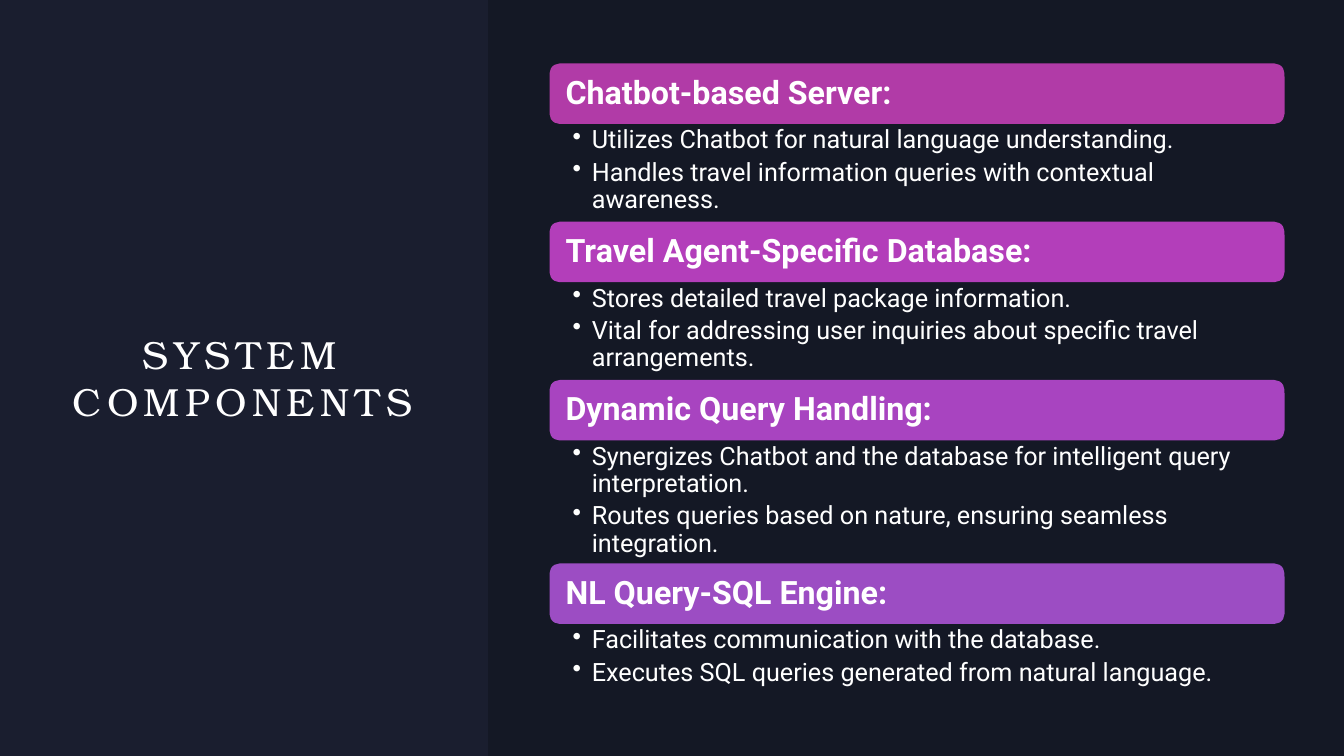
from dataclasses import dataclass

from lxml import etree
from pptx import Presentation
from pptx.dml.color import RGBColor
from pptx.enum.shapes import MSO_SHAPE
from pptx.enum.text import MSO_ANCHOR, MSO_AUTO_SIZE, PP_ALIGN
from pptx.oxml.ns import qn
from pptx.util import Inches, Pt

RECTANGLE = MSO_SHAPE.RECTANGLE
ROUNDED = MSO_SHAPE.ROUNDED_RECTANGLE
MIDDLE = MSO_ANCHOR.MIDDLE
TOP = MSO_ANCHOR.TOP
NO_AUTOFIT = MSO_AUTO_SIZE.NONE
CENTER = PP_ALIGN.CENTER
LEFT = PP_ALIGN.LEFT


@dataclass(frozen=True)
class Theme:
    """Colours, fonts and type sizes of the slide."""
    background: str = "1A1E2F"
    panel: str = "000000"
    panel_opacity: int = 20
    text: str = "FFFFFF"
    title_font: str = "TeX Gyre Bonum"
    body_font: str = "Roboto"
    title_size: int = 28
    heading_size: int = 23
    bullet_size: int = 18
    title_tracking: int = 4


THEME = Theme()
PANEL_LEFT = 4.84
LIST_LEFT, LIST_TOP, LIST_WIDTH = 5.45, 0.63, 7.29
HEADING_HEIGHT = 0.6

COMPONENTS = [
    ("Chatbot-based Server:", "B13BA7", 0.97, [
        "Utilizes Chatbot for natural language understanding.",
        "Handles travel information queries with contextual awareness.",
    ]),
    ("Travel Agent-Specific Database:", "B33EBA", 0.97, [
        "Stores detailed travel package information.",
        "Vital for addressing user inquiries about specific travel arrangements.",
    ]),
    ("Dynamic Query Handling:", "A844C0", 1.22, [
        "Synergizes Chatbot and the database for intelligent query interpretation.",
        "Routes queries based on nature, ensuring seamless integration.",
    ]),
    ("NL Query-SQL Engine:", "9C4DC3", 0.68, [
        "Facilitates communication with the database.",
        "Executes SQL queries generated from natural language.",
    ]),
]


def set_frame(frame, anchor, left, top, right, bottom):
    """Set the anchor and the inner margins of a text frame."""
    frame.word_wrap = True
    frame.auto_size = NO_AUTOFIT
    frame.vertical_anchor = anchor
    frame.margin_left, frame.margin_right = Inches(left), Inches(right)
    frame.margin_top, frame.margin_bottom = Inches(top), Inches(bottom)


def add_run(paragraph, text, font, size, bold=False):
    """Add one formatted run and return it."""
    run = paragraph.add_run()
    run.text = text
    run.font.name = font
    run.font.size = Pt(size)
    run.font.bold = bold
    run.font.color.rgb = RGBColor.from_string(THEME.text)
    return run


def add_block(slide, kind, left, top, width, height, color):
    """Add a filled shape without line or shadow."""
    shape = slide.shapes.add_shape(
        kind, Inches(left), Inches(top), Inches(width), Inches(height))
    shape.shadow.inherit = False
    shape.fill.solid()
    shape.fill.fore_color.rgb = RGBColor.from_string(color)
    shape.line.fill.background()
    return shape


def add_panel(slide):
    """Add the translucent panel behind the list."""
    panel = add_block(slide, RECTANGLE, PANEL_LEFT, 0, 13.33 - PANEL_LEFT, 7.5, THEME.panel)
    color = panel.fill._xPr.find(qn("a:solidFill"))[0]
    etree.SubElement(color, qn("a:alpha"), val=str(THEME.panel_opacity * 1000))


def add_title(slide, text):
    """Place and format the slide title."""
    title = slide.shapes.title
    title.left, title.top = Inches(0.59), Inches(1.18)
    title.width, title.height = Inches(3.63), Inches(5.13)
    set_frame(title.text_frame, MIDDLE, 0, 0, 0, 0)
    paragraph = title.text_frame.paragraphs[0]
    paragraph.alignment = CENTER
    run = add_run(paragraph, text, THEME.title_font, THEME.title_size)
    run.font._element.set("spc", str(THEME.title_tracking * 100))


def add_heading(slide, text, color, top):
    """Add a rounded heading bar."""
    bar = add_block(slide, ROUNDED, LIST_LEFT, top, LIST_WIDTH, HEADING_HEIGHT, color)
    set_frame(bar.text_frame, MIDDLE, 0.13, 0.1, 0.13, 0.1)
    paragraph = bar.text_frame.paragraphs[0]
    paragraph.alignment = LEFT
    paragraph.line_spacing = 0.9
    add_run(paragraph, text, THEME.body_font, THEME.heading_size, bold=True)


def set_bullet(paragraph):
    """Give a paragraph a round bullet with a hanging indent."""
    properties = paragraph._p.get_or_add_pPr()
    properties.set("marL", str(Inches(0.19)))
    properties.set("indent", str(Inches(-0.19)))
    etree.SubElement(properties, qn("a:buChar"), char="•")


def add_bullets(slide, lines, top, height):
    """Add the bulleted text below a heading."""
    box = slide.shapes.add_textbox(
        Inches(LIST_LEFT), Inches(top), Inches(LIST_WIDTH), Inches(height))
    frame = box.text_frame
    set_frame(frame, TOP, 0.23, 0.03, 0.18, 0.03)
    for index, line in enumerate(lines):
        paragraph = frame.add_paragraph() if index else frame.paragraphs[0]
        paragraph.level = 1
        paragraph.line_spacing = 0.9
        paragraph.space_after = Pt(THEME.bullet_size * 0.2)
        set_bullet(paragraph)
        add_run(paragraph, line, THEME.body_font, THEME.bullet_size)


def main():
    """Build the slide and save it."""
    presentation = Presentation()
    presentation.slide_width, presentation.slide_height = Inches(13.33), Inches(7.5)
    slide = presentation.slides.add_slide(presentation.slide_layouts[5])
    slide.background.fill.solid()
    slide.background.fill.fore_color.rgb = RGBColor.from_string(THEME.background)
    add_title(slide, "SYSTEM COMPONENTS")
    add_panel(slide)
    top = LIST_TOP
    for heading, color, height, lines in COMPONENTS:
        add_heading(slide, heading, color, top)
        add_bullets(slide, lines, top + HEADING_HEIGHT, height)
        top += HEADING_HEIGHT + height
    presentation.save("out.pptx")


if __name__ == "__main__":
    main()
